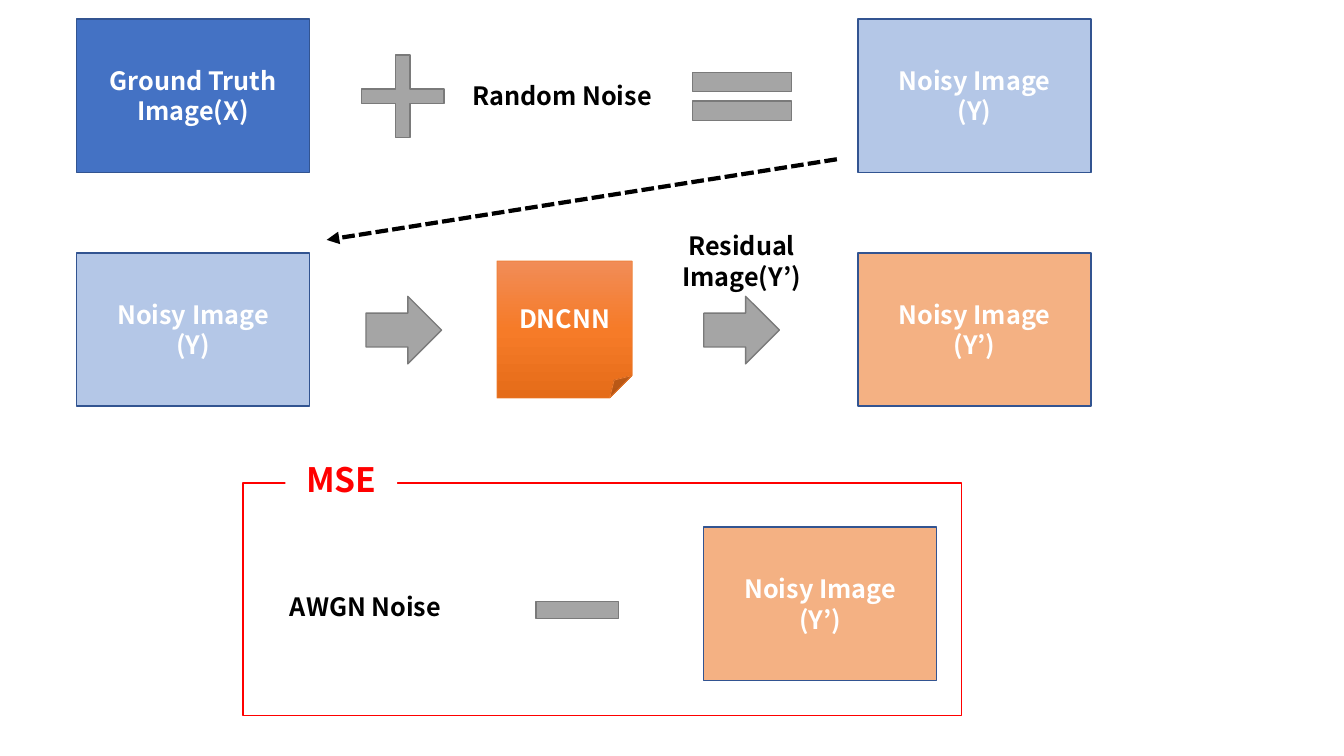
from copy import deepcopy

from lxml import etree
from pptx import Presentation
from pptx.dml.color import RGBColor
from pptx.enum.dml import MSO_LINE
from pptx.enum.shapes import MSO_CONNECTOR, MSO_SHAPE
from pptx.enum.text import MSO_ANCHOR, MSO_AUTO_SIZE, PP_ALIGN
from pptx.oxml.ns import qn
from pptx.util import Inches, Pt

RECTANGLE = MSO_SHAPE.RECTANGLE
ARROW = MSO_SHAPE.RIGHT_ARROW
FONT = "Noto Sans CJK KR"
COLORS = {
    "blue": "4472C4", "light blue": "B4C7E7", "navy": "325491",
    "peach": "F4B183", "orange": "ED7D31", "gray": "A5A5A5",
    "dark gray": "7A7A7A", "red": "FF0000", "white": "FFFFFF", "black": "000000",
}
GRADIENT = [(0, "F18C57"), (0.5, "F67B28"), (1, "E56C19")]

# Columns and rows of the image boxes
LEFT, RIGHT, RESULT = 0.76, 8.51, 6.98
TOP, MIDDLE, BOTTOM = 0.19, 2.51, 5.23
IMAGE_SIZE = (2.31, 1.52)
ARROW_SIZE = (0.75, 0.67)
ARROW_TOP = 2.94
LABEL_WIDTH = 2.17

# text, left, top, fill
IMAGES = [
    ("Ground Truth Image(X)", LEFT, TOP, "blue"),
    ("Noisy Image\n(Y)", RIGHT, TOP, "light blue"),
    ("Noisy Image\n(Y)", LEFT, MIDDLE, "light blue"),
    ("Noisy Image\n(Y’)", RIGHT, MIDDLE, "peach"),
    ("Noisy Image\n(Y’)", RESULT, BOTTOM, "peach"),
]
# preset, left, top, width, height
OPERATORS = [
    (MSO_SHAPE.MATH_PLUS, 3.44, 0.4, 1.11, 1.11),
    (MSO_SHAPE.MATH_EQUAL, 6.69, 0.55, 1.34, 0.81),
    (ARROW, 3.63, ARROW_TOP, *ARROW_SIZE),
    (ARROW, RESULT, ARROW_TOP, *ARROW_SIZE),
    (MSO_SHAPE.MATH_MINUS, 5.17, 5.69, 1.11, 0.72),
]
# text, left, top, height
LABELS = [
    ("Random Noise", 4.49, 0.75, 0.4),
    ("Residual Image(Y’)", 6.27, 2.24, 0.71),
    ("AWGN Noise", 2.54, 5.82, 0.4),
]
NETWORK = ("DNCNN", 4.93, 2.59, 1.34, 1.36)
FRAME = (2.41, 4.79, 7.13, 2.31)
FRAME_TITLE = ("MSE", 2.83, 4.5, 1.11, 0.5)
FEEDBACK = (8.3, 1.58, 3.24, 2.38)


def rgb(name):
    return RGBColor.from_string(COLORS[name])


def write(shape, text, color="white", size=18):
    text_frame = shape.text_frame
    text_frame.word_wrap = True
    text_frame.text = text
    for paragraph in text_frame.paragraphs:
        paragraph.alignment = PP_ALIGN.CENTER
        for run in paragraph.runs:
            run.font.size = Pt(size)
            run.font.bold = True
            run.font.name = FONT
            run.font.color.rgb = rgb(color)
            etree.SubElement(run.font._element, qn("a:ea"), typeface=FONT)


def add_box(slide, preset, box, fill=None, line=None, line_width=1):
    shape = slide.shapes.add_shape(preset, *map(Inches, box))
    shape.shadow.inherit = False
    shape.text_frame.vertical_anchor = MSO_ANCHOR.MIDDLE
    if fill:
        shape.fill.solid()
        shape.fill.fore_color.rgb = rgb(fill)
    else:
        shape.fill.background()
    if line:
        shape.line.color.rgb = rgb(line)
        shape.line.width = Pt(line_width)
    else:
        shape.line.fill.background()
    return shape


def fill_gradient(shape):
    """Fill from top to bottom with the three GRADIENT stops."""
    shape.fill.gradient()
    shape.fill.gradient_angle = 270
    stop_list = shape._element.spPr.find(".//" + qn("a:gsLst"))
    stop_list.append(deepcopy(stop_list[0]))
    for stop, (position, color) in zip(shape.fill.gradient_stops, GRADIENT):
        stop.position = position
        stop.color.rgb = RGBColor.from_string(color)


def add_label(slide, text, left, top, height):
    label = slide.shapes.add_textbox(*map(Inches, (left, top, LABEL_WIDTH, height)))
    write(label, text, "black")
    label.text_frame.auto_size = MSO_AUTO_SIZE.SHAPE_TO_FIT_TEXT


def add_feedback_arrow(slide):
    arrow = slide.shapes.add_connector(MSO_CONNECTOR.STRAIGHT, *map(Inches, FEEDBACK))
    arrow.line.color.rgb = rgb("black")
    arrow.line.width = Pt(3)
    arrow.line.dash_style = MSO_LINE.SQUARE_DOT
    properties = arrow._element.spPr
    etree.SubElement(properties.find(qn("a:ln")), qn("a:tailEnd"), type="triangle")
    etree.SubElement(properties, qn("a:effectLst"))


def main():
    presentation = Presentation()
    presentation.slide_width = Inches(13.33)
    presentation.slide_height = Inches(7.5)
    slide = presentation.slides.add_slide(presentation.slide_layouts[6])

    add_box(slide, RECTANGLE, FRAME, line="red")
    title, *title_box = FRAME_TITLE
    write(add_box(slide, RECTANGLE, title_box, "white"), title, "red", 24)

    for text, left, top, fill in IMAGES:
        image = add_box(slide, RECTANGLE, (left, top, *IMAGE_SIZE), fill, "navy")
        write(image, text)

    for preset, *box in OPERATORS:
        operator = add_box(slide, preset, box, "gray", "dark gray")
        if preset == MSO_SHAPE.MATH_PLUS:
            operator.adjustments[0] = 0.131

    name, *network_box = NETWORK
    network = add_box(slide, MSO_SHAPE.FOLDED_CORNER, network_box,
                      line="orange", line_width=0.5)
    fill_gradient(network)
    write(network, name)

    for label in LABELS:
        add_label(slide, *label)
    add_feedback_arrow(slide)

    presentation.save("out.pptx")


if __name__ == "__main__":
    main()
